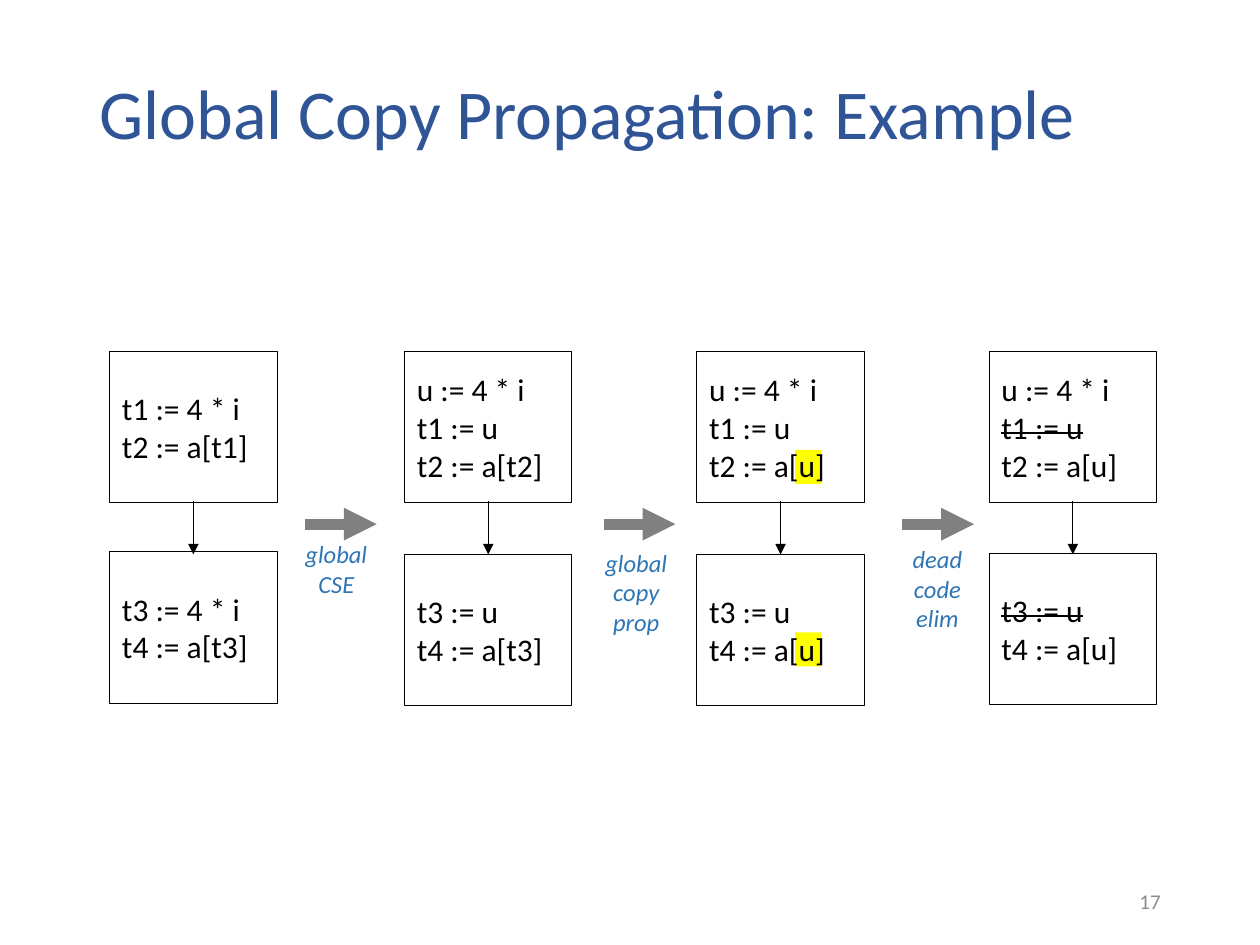
from dataclasses import dataclass

from lxml import etree
from pptx import Presentation
from pptx.dml.color import RGBColor
from pptx.enum.shapes import MSO_CONNECTOR, MSO_SHAPE
from pptx.enum.text import MSO_ANCHOR, PP_ALIGN
from pptx.oxml.ns import qn
from pptx.util import Inches, Pt

RECT = MSO_SHAPE.RECTANGLE
STRAIGHT = MSO_CONNECTOR.STRAIGHT
LEFT, CENTER, RIGHT = PP_ALIGN.LEFT, PP_ALIGN.CENTER, PP_ALIGN.RIGHT
TOP, MIDDLE = MSO_ANCHOR.TOP, MSO_ANCHOR.MIDDLE

BLACK = RGBColor(0x00, 0x00, 0x00)
GRAY = RGBColor(0x80, 0x80, 0x80)
PALE_GRAY = RGBColor(0x8C, 0x8C, 0x8C)
NAVY = RGBColor(0x2F, 0x55, 0x97)
BLUE = RGBColor(0x2E, 0x75, 0xB6)
YELLOW = RGBColor(0xFF, 0xFF, 0x00)

FONT = "Calibri"
BLOCK_W, BLOCK_H, BLOCK_TOP = 1.33, 1.2, 2.79
EDGE_TOP, EDGE_BOTTOM = 3.98, 4.4
STEP_Y, STEP_LEN = 4.16, 0.57


@dataclass
class Stage:
    left: float
    lower_top: float
    upper: list[str]
    lower: list[str]
    dead: tuple[str, ...] = ()


@dataclass
class Step:
    arrow_left: float
    left: float
    top: float
    width: float
    height: float
    words: list[str]


STAGES = [
    Stage(0.87, 4.38, ["t1 := 4 * i", "t2 := a[t1]"], ["t3 := 4 * i", "t4 := a[t3]"]),
    Stage(3.21, 4.4, ["u := 4 * i", "t1 := u", "t2 := a[t2]"], ["t3 := u", "t4 := a[t3]"]),
    Stage(5.53, 4.4, ["u := 4 * i", "t1 := u", "t2 := a[u]"], ["t3 := u", "t4 := a[u]"]),
    Stage(7.85, 4.39, ["u := 4 * i", "t1 := u", "t2 := a[u]"], ["t3 := u", "t4 := a[u]"],
          dead=("t1 := u", "t3 := u")),
]
STEPS = [
    Step(2.42, 2.32, 4.23, 0.7, 0.57, ["global", "CSE"]),
    Step(4.79, 4.7, 4.3, 0.7, 0.81, ["global", "copy", "prop"]),
    Step(7.16, 7.14, 4.27, 0.6, 0.81, ["dead", "code", "elim"]),
]


def write(tf, lines: list[str], *, size: float, color: RGBColor, align=LEFT, anchor=MIDDLE,
          italic=False, wrap=True, spacing=1.0, struck: tuple[str, ...] = ()) -> None:
    tf.word_wrap = wrap
    tf.vertical_anchor = anchor
    for i, line in enumerate(lines):
        p = tf.paragraphs[0] if i == 0 else tf.add_paragraph()
        p.alignment = align
        p.line_spacing = spacing
        r = p.add_run()
        r.text = line
        r.font.name = FONT
        r.font.size = Pt(size)
        r.font.color.rgb = color
        r.font.italic = italic
        if line in struck:
            r._r.get_or_add_rPr().set("strike", "sngStrike")


def add_rect(s, left: float, top: float, width: float, height: float):
    sp = s.shapes.add_shape(RECT, Inches(left), Inches(top), Inches(width), Inches(height))
    sp.shadow.inherit = False
    return sp


def add_highlight(s, left: float, top: float) -> None:
    sp = add_rect(s, left, top, 0.21, 0.27)
    sp.fill.solid()
    sp.fill.fore_color.rgb = YELLOW
    sp.line.fill.background()


def add_block(s, left: float, top: float, code: list[str], dead: tuple[str, ...]) -> None:
    sp = add_rect(s, left, top, BLOCK_W, BLOCK_H)
    sp.fill.background()
    sp.line.color.rgb = BLACK
    sp.line.width = Pt(0.5)
    write(sp.text_frame, code, size=18, color=BLACK, struck=dead)


def add_arrow(s, x1: float, y1: float, x2: float, y2: float, color: RGBColor, width: float) -> None:
    cxn = s.shapes.add_connector(STRAIGHT, Inches(x1), Inches(y1), Inches(x2), Inches(y2))
    cxn.line.color.rgb = color
    cxn.line.width = Pt(width)
    etree.SubElement(cxn.line._get_or_add_ln(), qn("a:tailEnd"), type="triangle")
    etree.SubElement(cxn._element.spPr, qn("a:effectLst"))


def add_label(s, left: float, top: float, width: float, height: float,
              lines: list[str], **fmt) -> None:
    sp = s.shapes.add_textbox(Inches(left), Inches(top), Inches(width), Inches(height))
    write(sp.text_frame, lines, **fmt)


def add_title(s, text: str) -> None:
    sp = s.shapes.title
    sp.left, sp.top, sp.width, sp.height = Inches(0.69), Inches(0.4), Inches(8.62), Inches(1.05)
    write(sp.text_frame, [text], size=40, color=NAVY, spacing=0.9)


def main() -> None:
    prs = Presentation()
    prs.slide_width, prs.slide_height = Inches(10), Inches(7.5)
    s = prs.slides.add_slide(prs.slide_layouts[5])

    for top in (3.57, 5.02):
        add_highlight(s, 6.31, top)
    add_title(s, "Global Copy Propagation: Example")
    add_label(s, 7.06, 6.95, 2.25, 0.4, ["17"], size=12, color=PALE_GRAY, align=RIGHT)

    for stage in STAGES:
        add_block(s, stage.left, BLOCK_TOP, stage.upper, stage.dead)
        add_block(s, stage.left, stage.lower_top, stage.lower, stage.dead)
        center = stage.left + BLOCK_W / 2
        add_arrow(s, center, EDGE_TOP, center, EDGE_BOTTOM, BLACK, 0.5)

    for step in STEPS:
        add_arrow(s, step.arrow_left, STEP_Y, step.arrow_left + STEP_LEN, STEP_Y, GRAY, 6.25)
        add_label(s, step.left, step.top, step.width, step.height, step.words,
                  size=14, color=BLUE, align=CENTER, anchor=TOP, italic=True, wrap=False)

    prs.save("out.pptx")


main()
